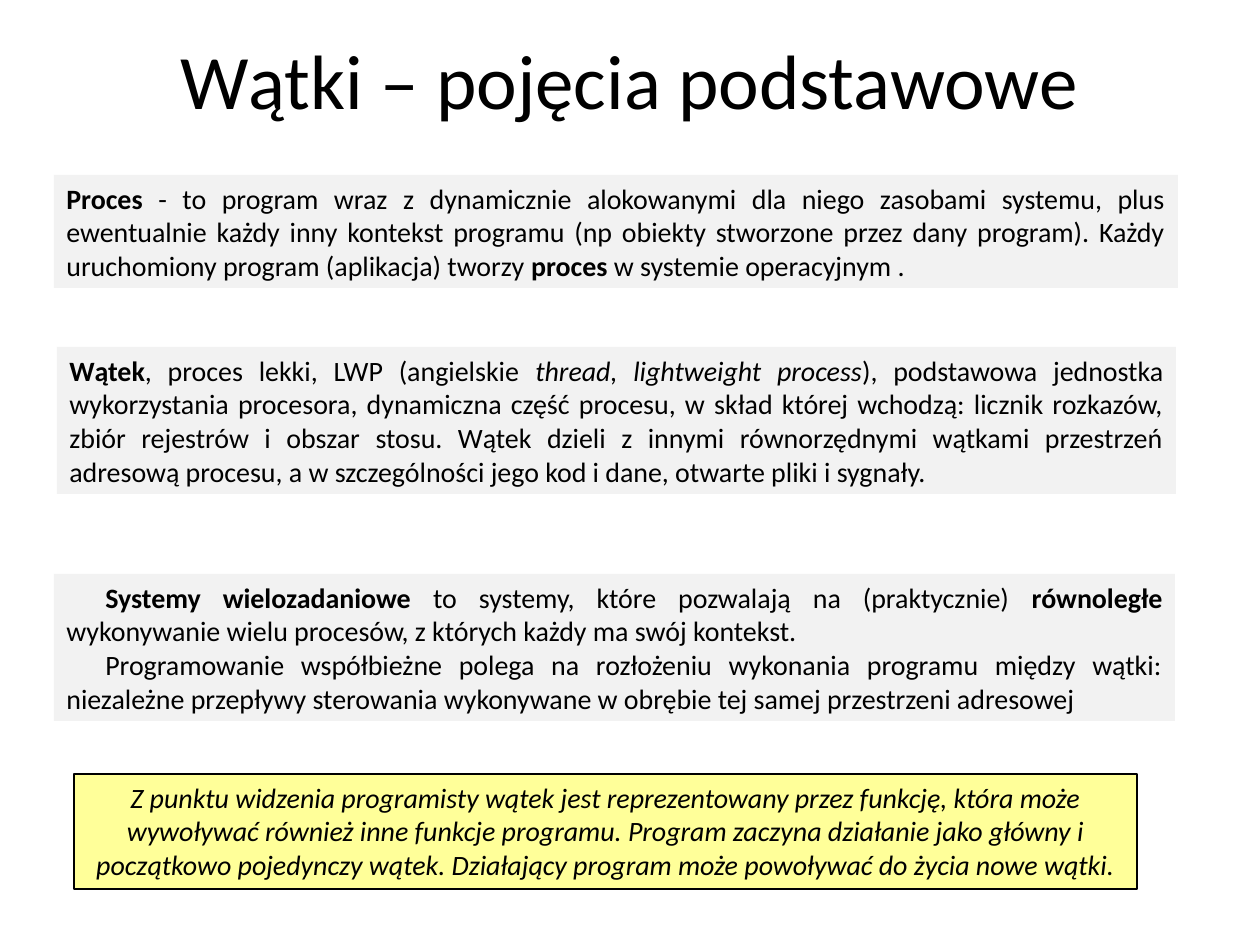
from dataclasses import dataclass

import pptx
import pptx.dml.color
import pptx.enum.shapes
import pptx.enum.text
import pptx.util

EMU_PER_PX = 914400 / 126
COLOURS = {"text": "000000", "panel": "F2F2F2", "note": "FFFF99", "border": "000000"}
ALIGN = pptx.enum.text.PP_ALIGN
ANCHOR = pptx.enum.text.MSO_ANCHOR
AUTO_SIZE = pptx.enum.text.MSO_AUTO_SIZE
PLAIN = {}
BOLD = {"bold": True}
ITALIC = {"italic": True}


@dataclass(frozen=True)
class Span:
    text: str
    style: dict


@dataclass(frozen=True)
class Panel:
    left: int
    top: int
    width: int
    height: int
    paragraphs: list[list[Span]]
    fill: str = "panel"
    border: str | None = None
    align: ALIGN = ALIGN.JUSTIFY
    anchor: ANCHOR = ANCHOR.MIDDLE
    indent: int = 0


TITLE = Panel(94, 0, 1071, 158, [[Span("Wątki – pojęcia podstawowe", PLAIN)]],
              align=ALIGN.CENTER)

PANELS = [
    Panel(54, 175, 1124, 113, [[
        Span("Proces", BOLD),
        Span(" - to program wraz z dynamicznie alokowanymi dla niego zasobami systemu, "
             "plus ewentualnie każdy inny kontekst programu (np obiekty stworzone przez "
             "dany program). Każdy uruchomiony program (aplikacja) tworzy ", PLAIN),
        Span("proces", BOLD),
        Span(" w systemie operacyjnym .", PLAIN),
    ]]),
    Panel(57, 347, 1119, 147, [[
        Span("Wątek", BOLD),
        Span(", proces lekki, LWP (angielskie ", PLAIN),
        Span("thread, lightweight process", ITALIC),
        Span("), podstawowa jednostka wykorzystania procesora, dynamiczna część procesu, "
             "w skład której wchodzą: licznik rozkazów, zbiór rejestrów i obszar stosu. "
             "Wątek dzieli z innymi równorzędnymi wątkami przestrzeń adresową procesu, "
             "a w szczególności jego kod i dane, otwarte pliki i sygnały.", PLAIN),
    ]]),
    Panel(54, 574, 1121, 147, [
        [
            Span("Systemy wielozadaniowe", BOLD),
            Span(" to systemy, które pozwalają na (praktycznie) ", PLAIN),
            Span("równoległe ", BOLD),
            Span("wykonywanie wielu procesów, z których każdy ma swój kontekst.", PLAIN),
        ],
        [
            Span("Programowanie współbieżne polega na rozłożeniu wykonania programu między "
                 "wątki: niezależne przepływy sterowania wykonywane w obrębie tej samej "
                 "przestrzeni adresowej", PLAIN),
        ],
    ], indent=39),
    Panel(74, 774, 1063, 115, [[
        Span("Z punktu widzenia programisty wątek jest reprezentowany przez funkcję, która "
             "może wywoływać również inne funkcje programu. Program zaczyna działanie jako "
             "główny i początkowo pojedynczy wątek. Działający program może powoływać do "
             "życia nowe wątki.", ITALIC),
    ]], fill="note", border="border", align=ALIGN.CENTER, anchor=ANCHOR.TOP),
]


def px(length: int) -> int:
    return round(length * EMU_PER_PX)


def colour(name: str) -> pptx.dml.color.RGBColor:
    return pptx.dml.color.RGBColor.from_string(COLOURS[name])


def bounds(panel: Panel) -> list[int]:
    return [px(side) for side in (panel.left, panel.top, panel.width, panel.height)]


def apply(target, values: dict) -> None:
    """Set each named attribute of the target."""
    for name, value in values.items():
        setattr(target, name, value)


def write_text(box, panel: Panel, size: int, auto_size: AUTO_SIZE) -> None:
    frame = box.text_frame
    apply(frame, {"word_wrap": True, "auto_size": auto_size,
                  "vertical_anchor": panel.anchor})
    for index, spans in enumerate(panel.paragraphs):
        para = frame.add_paragraph() if index else frame.paragraphs[0]
        para.alignment = panel.align
        if panel.indent:
            para._p.get_or_add_pPr().set("indent", str(px(panel.indent)))
        for span in spans:
            run = para.add_run()
            run.text = span.text
            apply(run.font, {"name": "Calibri", "size": pptx.util.Pt(size), **span.style})
            run.font.color.rgb = colour("text")


def draw_title(page, title: Panel) -> None:
    box = page.shapes.add_textbox(*bounds(title))
    write_text(box, title, 44, AUTO_SIZE.NONE)


def draw_panel(page, panel: Panel) -> None:
    box = page.shapes.add_shape(pptx.enum.shapes.MSO_SHAPE.RECTANGLE, *bounds(panel))
    box.shadow.inherit = False
    box.fill.solid()
    box.fill.fore_color.rgb = colour(panel.fill)
    if panel.border:
        box.line.color.rgb = colour(panel.border)
        box.line.width = pptx.util.Pt(0.75)
    else:
        box.line.fill.background()
    write_text(box, panel, 16, AUTO_SIZE.SHAPE_TO_FIT_TEXT)


def main() -> None:
    deck = pptx.Presentation()
    apply(deck, {"slide_width": px(1260), "slide_height": px(945)})
    page = deck.slides.add_slide(deck.slide_layouts[6])
    draw_title(page, TITLE)
    for panel in PANELS:
        draw_panel(page, panel)
    deck.save("out.pptx")


if __name__ == "__main__":
    main()
